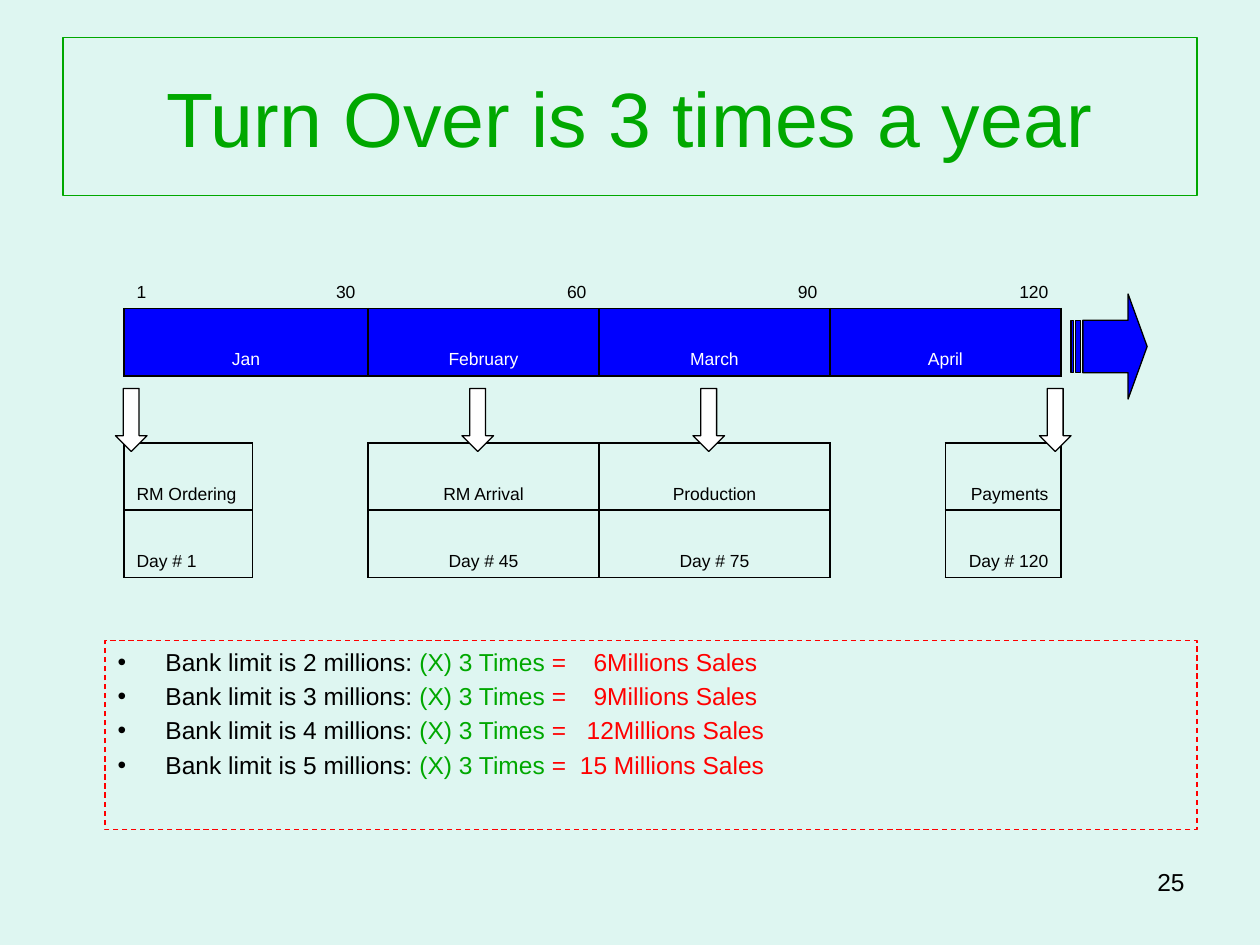
import pptx
import pptx.util
import pptx.dml.color
import pptx.enum.dml
import pptx.enum.shapes
import pptx.enum.text
import pptx.oxml
import pptx.oxml.ns

UNIT = pptx.util.Inches(10) / 120
BLACK, WHITE, BLUE, GREEN, RED = "000000", "FFFFFF", "0000FF", "00A800", "FF0000"
ALIGN = pptx.enum.text.PP_ALIGN
ANCHOR = pptx.enum.text.MSO_ANCHOR
SHAPE = pptx.enum.shapes.MSO_SHAPE
HANGING = 0.38
PLAIN_TABLE = "{2D5ABB26-0587-4C30-8999-92F81FD0307C}"
COLUMNS = [7.8, 12.25] + [11] * 7 + [7.8]
ROW_HEIGHT = 6.4
CELLS = [
    (0, 1, 1, "1", ALIGN.LEFT),
    (0, 2, 1, "30", ALIGN.RIGHT),
    (0, 4, 1, "60", ALIGN.RIGHT),
    (0, 6, 1, "90", ALIGN.RIGHT),
    (0, 8, 1, "120", ALIGN.RIGHT),
    (1, 1, 2, "Jan", ALIGN.CENTER),
    (1, 3, 2, "February", ALIGN.CENTER),
    (1, 5, 2, "March", ALIGN.CENTER),
    (1, 7, 2, "April", ALIGN.CENTER),
    (3, 1, 1, "RM Ordering", ALIGN.LEFT),
    (3, 3, 2, "RM Arrival", ALIGN.CENTER),
    (3, 5, 2, "Production", ALIGN.CENTER),
    (3, 8, 1, "Payments", ALIGN.RIGHT),
    (4, 1, 1, "Day # 1", ALIGN.LEFT),
    (4, 3, 2, "Day # 45", ALIGN.CENTER),
    (4, 5, 2, "Day # 75", ALIGN.CENTER),
    (4, 8, 1, "Day # 120", ALIGN.RIGHT),
]
LIMITS = [
    (2, "6Millions Sales", 11.7),
    (3, "9Millions Sales", 11.7),
    (4, "12Millions Sales", 7.8),
    (5, "15 Millions Sales", 3.9),
]


def grid(*lengths):
    """Turn grid units, 120 across the slide, into slide lengths."""
    return [pptx.util.Emu(round(length * UNIT)) for length in lengths]


def colour(code):
    """Turn a hex string into a colour."""
    return pptx.dml.color.RGBColor.from_string(code)


def write(para, text, size=14, ink=BLACK, align=None, spread=None):
    """Add a formatted span of text to a paragraph."""
    span = para.add_run()
    span.text = text
    span.font.name = "Arial"
    span.font.size = pptx.util.Pt(size)
    span.font.color.rgb = colour(ink)
    if align is not None:
        para.alignment = align
    if spread:
        span.font._element.set("spc", str(round(spread * 100)))


def hang(para, bullet=None):
    """Give a paragraph a hanging indent and, if asked, a bullet."""
    properties = para._p.get_or_add_pPr()
    properties.set("marL", str(pptx.util.Inches(HANGING)))
    properties.set("indent", str(pptx.util.Inches(-HANGING)))
    if bullet:
        properties.append(pptx.oxml.parse_xml(
            f'<a:buChar {pptx.oxml.ns.nsdecls("a")} char="{bullet}"/>'))


def place(shape, box):
    """Move a shape to a box on the grid."""
    shape.left, shape.top, shape.width, shape.height = grid(*box)


def outline(shape, ink, dash=None):
    """Draw a thin line around a shape."""
    shape.line.color.rgb = colour(ink)
    shape.line.width = pptx.util.Pt(0.75)
    if dash:
        shape.line.dash_style = dash


def border(cell, sides):
    """Draw black lines along the named sides of a table cell."""
    properties = cell._tc.get_or_add_tcPr()
    for side in sides:
        properties.append(pptx.oxml.parse_xml(
            f'<a:ln{side} {pptx.oxml.ns.nsdecls("a")} w="12700"><a:solidFill>'
            f'<a:srgbClr val="{BLACK}"/></a:solidFill></a:ln{side}>'))


def add_title(page, box):
    """Fill the framed title."""
    title = page.shapes.title
    place(title, box)
    outline(title, GREEN)
    title.text_frame.vertical_anchor = ANCHOR.MIDDLE
    write(title.text_frame.paragraphs[0], "Turn Over is 3 times a year",
          size=44, ink=GREEN, align=ALIGN.CENTER)


def add_limits(page, box):
    """Fill the dashed list of bank limits and sales."""
    body = page.placeholders[1]
    place(body, box)
    outline(body, RED, pptx.enum.dml.MSO_LINE.DASH)
    frame = body.text_frame
    frame.auto_size = pptx.enum.text.MSO_AUTO_SIZE.NONE
    for index, (limit, sales, spread) in enumerate(LIMITS):
        para = frame.add_paragraph() if index else frame.paragraphs[0]
        para.space_before = pptx.util.Pt(2.8 if index else 0)
        hang(para, "•")
        write(para, f"Bank limit is {limit} millions: ")
        write(para, "(X) 3 Times", ink=GREEN)
        write(para, " =", ink=RED)
        write(para, " ", ink=RED, spread=spread)
        write(para, sales, ink=RED)


def add_calendar(page, left, top):
    """Lay out the months, day counts and steps as one table."""
    rows = 5
    frame = page.shapes.add_table(
        rows, len(COLUMNS), *grid(left, top, sum(COLUMNS), rows * ROW_HEIGHT))
    table = frame.table
    table.first_row = table.horz_banding = False
    table._tbl.tblPr.find(pptx.oxml.ns.qn("a:tableStyleId")).text = PLAIN_TABLE
    for column, width in zip(table.columns, grid(*COLUMNS)):
        column.width = width
    for row, column, span, text, align in CELLS:
        cell = table.cell(row, column)
        last = table.cell(row, column + span - 1)
        if span > 1:
            cell.merge(last)
        if row:
            border(cell, "LRTB")
            if span > 1:
                border(last, "RTB")
        cell.vertical_anchor = ANCHOR.BOTTOM
        para = cell.text_frame.paragraphs[0]
        hang(para)
        write(para, text, size=10, ink=WHITE if row == 1 else BLACK, align=align)
    for cell in table.iter_cells():
        cell.fill.background()
    for column in range(1, 9):
        month = table.cell(1, column)
        month.fill.solid()
        month.fill.fore_color.rgb = colour(BLUE)


def add_arrow(page, kind, box, fill, adjustments):
    """Draw one block arrow."""
    arrow = page.shapes.add_shape(kind, *grid(*box))
    arrow.shadow.inherit = False
    arrow.fill.solid()
    arrow.fill.fore_color.rgb = colour(fill)
    outline(arrow, BLACK)
    for index, value in enumerate(adjustments):
        arrow.adjustments[index] = value


def add_page_number(page, box):
    """Write the page number at the lower right."""
    number = page.shapes.add_textbox(*grid(*box))
    number.text_frame.word_wrap = True
    write(number.text_frame.paragraphs[0], "25", align=ALIGN.RIGHT)


def main():
    """Build the deck and save it."""
    deck = pptx.Presentation()
    deck.slide_width, deck.slide_height = grid(120, 90)
    page = deck.slides.add_slide(deck.slide_layouts[1])
    page.background.fill.solid()
    page.background.fill.fore_color.rgb = colour("DEF6F1")
    add_page_number(page, (86, 82, 28, 6.25))
    add_title(page, (6, 3.6, 108, 15))
    add_limits(page, (10, 61, 104, 18))
    add_calendar(page, 4, 23)
    for left in (11, 44, 66, 99):
        add_arrow(page, SHAPE.DOWN_ARROW, (left, 37, 3, 6), WHITE, (0.5, 0.5))
    add_arrow(page, SHAPE.STRIPED_RIGHT_ARROW, (102, 28, 7.25, 10), BLUE, (0.5, 0.25))
    deck.save("out.pptx")


if __name__ == "__main__":
    main()
